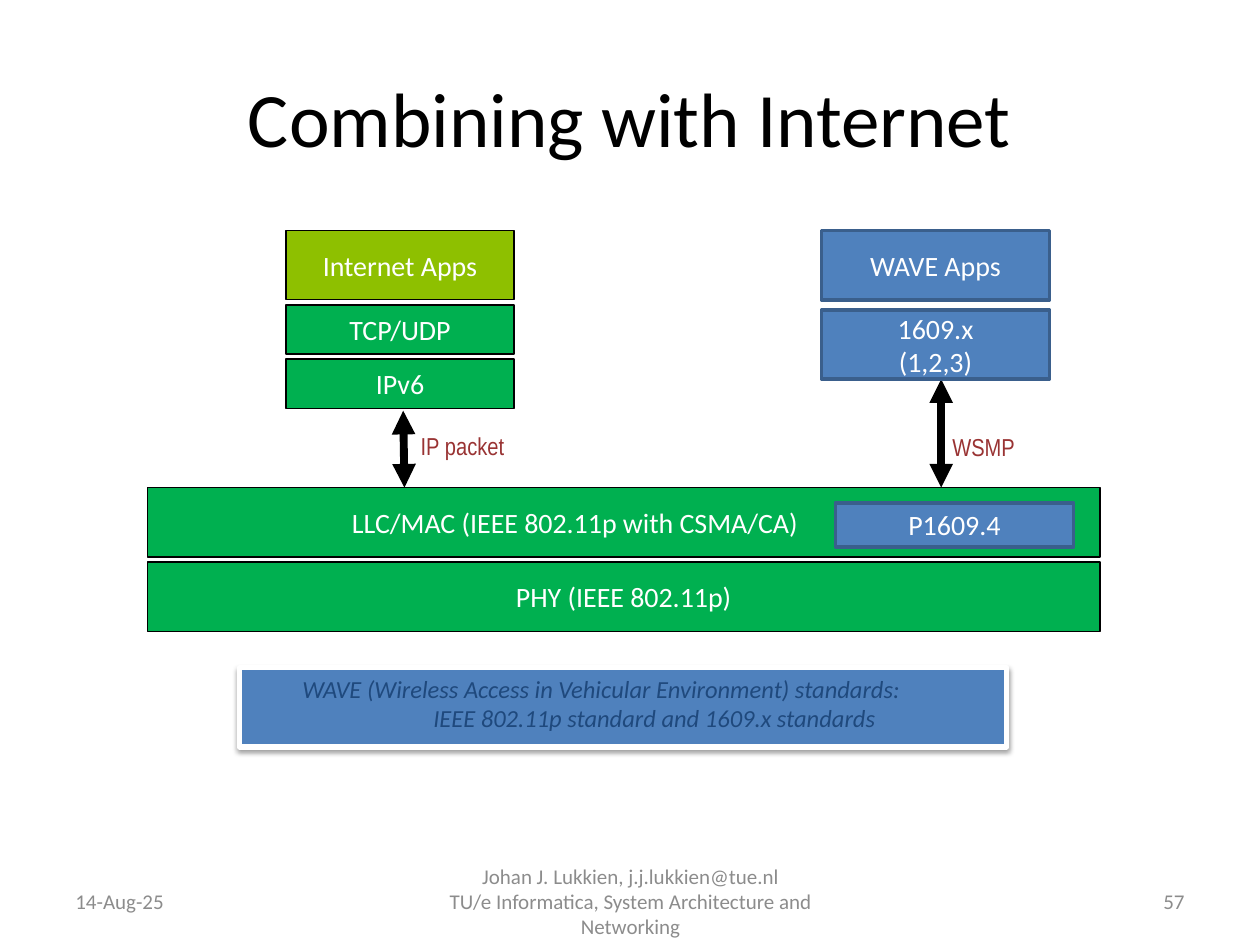
from lxml.etree import SubElement
from pptx import Presentation
from pptx.dml.color import RGBColor
from pptx.enum.shapes import MSO_CONNECTOR, MSO_SHAPE
from pptx.enum.text import MSO_ANCHOR, PP_ALIGN
from pptx.oxml.ns import qn
from pptx.util import Inches, Pt

COLORS = {
    "black": "000000", "white": "FFFFFF", "gray": "8C8C8C", "red": "993333",
    "lime": "8EC000", "green": "00B050", "blue": "4F81BD",
    "blue_edge": "3A5F8C", "navy": "1F497D",
}
LEFT, CENTER, RIGHT = PP_ALIGN.LEFT, PP_ALIGN.CENTER, PP_ALIGN.RIGHT
LAYER_HEIGHT = 0.55
LAYER_GAP = 0.04


def color(name):
    return RGBColor.from_string(COLORS[name])


def write(shape, text, size=16, ink="white", font="Calibri", italic=False,
          aligns=(CENTER,), anchor=MSO_ANCHOR.MIDDLE, wrap=True,
          left=0.1, right=0.1):
    frame = shape.text_frame
    frame.word_wrap = wrap
    frame.vertical_anchor = anchor
    frame.margin_left, frame.margin_right = Inches(left), Inches(right)
    for index, line in enumerate(text.split("\n")):
        para = frame.paragraphs[0] if index == 0 else frame.add_paragraph()
        para.alignment = aligns[min(index, len(aligns) - 1)]
        span = para.add_run()
        span.text = line
        span.font.size = Pt(size)
        span.font.name = font
        span.font.italic = italic
        span.font.color.rgb = color(ink)


def add_text(page, box, text, **style):
    write(page.shapes.add_textbox(*map(Inches, box)), text, **style)


def add_block(page, box, text, fill="green", edge="black", weight=0.75, **style):
    block = page.shapes.add_shape(MSO_SHAPE.RECTANGLE, *map(Inches, box))
    block.shadow.inherit = False
    block.fill.solid()
    block.fill.fore_color.rgb = color(fill)
    block.line.color.rgb = color(edge)
    block.line.width = Pt(weight)
    write(block, text, **style)
    return block


def add_wave_block(page, box, text):
    add_block(page, box, text, fill="blue", edge="blue_edge", weight=2)


def add_arrow(page, start, end):
    arrow = page.shapes.add_connector(
        MSO_CONNECTOR.STRAIGHT, *map(Inches, start + end))
    arrow.line.color.rgb = color("black")
    arrow.line.width = Pt(4.5)
    line = arrow.line._get_or_add_ln()
    for end_name in ("a:headEnd", "a:tailEnd"):
        SubElement(line, qn(end_name), type="triangle")
    SubElement(arrow._element.spPr, qn("a:effectLst"))


def add_shadow(shape):
    effects = shape._element.spPr.find(qn("a:effectLst"))
    shadow = SubElement(effects, qn("a:outerShdw"), blurRad=str(Pt(3.1)),
                        dist=str(Pt(1.6)), dir="5400000", rotWithShape="0")
    ink = SubElement(shadow, qn("a:srgbClr"), val=COLORS["black"])
    SubElement(ink, qn("a:alpha"), val="38000")


def add_link_label(page, box, text):
    add_text(page, box, text, size=14, ink="red", font="Arial Narrow",
             aligns=(LEFT,), anchor=MSO_ANCHOR.TOP, wrap=False)


def add_internet_stack(page, left, top, width):
    layers = [("Internet Apps", LAYER_HEIGHT, "lime"),
              ("TCP/UDP", 0.39, "green"), ("IPv6", 0.39, "green")]
    for text, height, fill in layers:
        add_block(page, (left, top, width, height), text, fill=fill)
        top += height + LAYER_GAP


def add_wave_stack(page, left, top, width):
    for index, text in enumerate(["WAVE Apps", "1609.x\n(1,2,3)"]):
        box = (left, top + index * 0.63, width, LAYER_HEIGHT)
        add_wave_block(page, box, text)


def add_shared_layers(page, left, top, width):
    add_block(page, (left, top, width, LAYER_HEIGHT),
              "LLC/MAC (IEEE 802.11p with CSMA/CA)", right=0.87)
    add_block(page, (left, top + LAYER_HEIGHT + LAYER_GAP, width, LAYER_HEIGHT),
              "PHY (IEEE 802.11p)")
    add_wave_block(page, (left + 5.46, top + 0.12, 1.89, 0.35), "P1609.4")


def add_links(page, bottom):
    add_arrow(page, (3.2, 3.26), (3.21, bottom))
    add_link_label(page, (3.24, 3.37, 1.01, 0.34), "IP packet")
    add_arrow(page, (7.47, 3.01), (7.47, bottom))
    add_link_label(page, (7.46, 3.38, 0.81, 0.34), "WSMP")


def add_banner(page, box):
    banner = add_block(
        page, box,
        "WAVE (Wireless Access in Vehicular Environment) standards:\n"
        "IEEE 802.11p standard and 1609.x standards",
        fill="blue", edge="white", weight=3, size=14, ink="navy", italic=True,
        aligns=(LEFT, CENTER), anchor=MSO_ANCHOR.TOP, left=0.5, right=0)
    add_shadow(banner)


def add_footer(page, top, height):
    parts = [
        (0.5, 2.33, "14-Aug-25", LEFT),
        (3.42, 3.17, "Johan J. Lukkien, j.j.lukkien@tue.nl\n"
         "TU/e Informatica, System Architecture and Networking", CENTER),
        (7.17, 2.33, "57", RIGHT),
    ]
    for left, width, text, align in parts:
        add_text(page, (left, top, width, height), text, size=12, ink="gray",
                 aligns=(align,))


def main():
    deck = Presentation()
    deck.slide_width, deck.slide_height = Inches(10), Inches(7.5)
    page = deck.slides.add_slide(deck.slide_layouts[6])
    add_text(page, (0.5, 0.3, 9, 1.25), "Combining with Internet",
             size=44, ink="black")
    add_footer(page, 6.95, 0.4)
    add_links(page, 3.87)
    add_internet_stack(page, 2.27, 1.83, 1.81)
    add_wave_stack(page, 6.52, 1.83, 1.81)
    add_shared_layers(page, 1.17, 3.87, 7.56)
    add_banner(page, (1.9, 5.3, 6.09, 0.63))
    deck.save("out.pptx")


if __name__ == "__main__":
    main()
